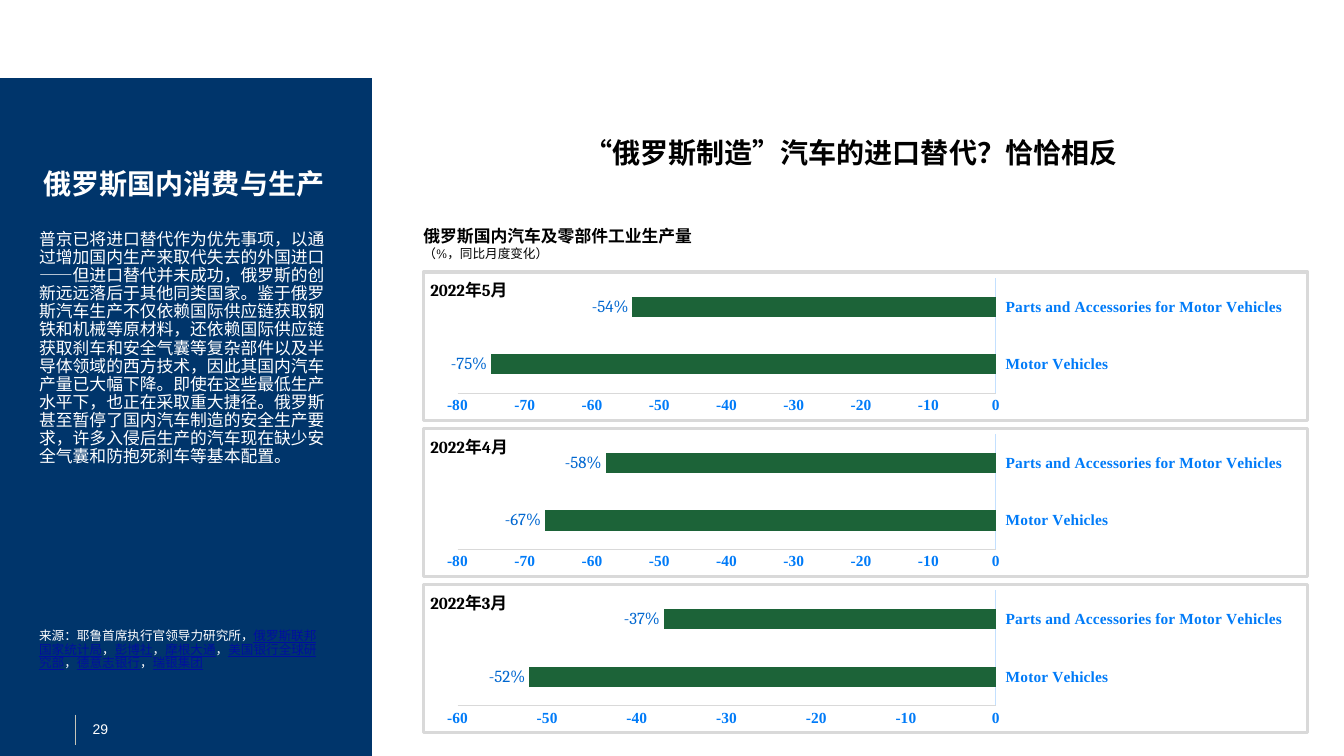
from lxml import etree
from pptx import Presentation
from pptx import util as u
from pptx.chart.data import CategoryChartData
from pptx.dml.color import RGBColor
from pptx.enum import chart as ch, shapes, text
from pptx.oxml import ns

NAVY = RGBColor(0x00, 0x35, 0x6B)
WHITE = RGBColor(0xFF, 0xFF, 0xFF)
BLACK = RGBColor(0x00, 0x00, 0x00)
STONE = RGBColor(0xC6, 0xC5, 0xB9)
GREY = RGBColor(0xD9, 0xD9, 0xD9)
LINK = RGBColor(0x00, 0x0F, 0x9F)
GREEN = RGBColor(0x1C, 0x63, 0x38)
AXIS_BLUE = RGBColor(0x00, 0x7B, 0xF8)
PALE_BLUE = RGBColor(0xC3, 0xE0, 0xFF)
LABEL_BLUE = RGBColor(0x00, 0x67, 0xD0)

SANS, SERIF, CAPTION = "Arial", "Times New Roman", "Cambria"
TOP, BOTTOM = text.MSO_ANCHOR.TOP, text.MSO_ANCHOR.BOTTOM
LEFT, CENTER = text.PP_ALIGN.LEFT, text.PP_ALIGN.CENTER

BODY = (
    "普京已将进口替代作为优先事项，以通过增加国内生产来取代失去的外国进口——但进口替代并未成功，"
    "俄罗斯的创新远远落后于其他同类国家。鉴于俄罗斯汽车生产不仅依赖国际供应链获取钢铁和机械等原材料，"
    "还依赖国际供应链获取刹车和安全气囊等复杂部件以及半导体领域的西方技术，因此其国内汽车产量已大幅下降。"
    "即使在这些最低生产水平下，也正在采取重大捷径。俄罗斯甚至暂停了国内汽车制造的安全生产要求，"
    "许多入侵后生产的汽车现在缺少安全气囊和防抱死刹车等基本配置。"
)
SOURCES = ["俄罗斯联邦国家统计局", "彭博社", "摩根大通", "美国银行全球研究部", "德意志银行", "瑞银集团"]
CATEGORIES = ["Motor Vehicles", "Parts and Accessories for Motor Vehicles"]
MONTHS = [  # caption, values, axis minimum
    ("2022年5月", (-75, -54), -80),
    ("2022年4月", (-67, -58), -80),
    ("2022年3月", (-52, -37), -60),
]
FIRST_PANEL, PANEL_STEP = 2.7, 1.55


def inches(*lengths):
    return [u.Inches(length) for length in lengths]


def style_font(font, size, name, color, bold=False):
    font.size, font.name, font.bold = u.Pt(size), name, bold
    font.color.rgb = color


class SlideBuilder:
    def __init__(self, slide):
        self.slide = slide

    def rectangle(self, area, fill=None, line=GREY, width=1):
        box = self.slide.shapes.add_shape(shapes.MSO_SHAPE.RECTANGLE, *inches(*area))
        box.shadow.inherit = False
        if fill is None:
            box.fill.background()
        else:
            box.fill.solid()
            box.fill.fore_color.rgb = fill
        box.line.color.rgb = line
        box.line.width = u.Pt(width)

    def rule(self, start, end, color, width):
        line = self.slide.shapes.add_connector(
            shapes.MSO_CONNECTOR.STRAIGHT, *inches(*start, *end))
        line.line.color.rgb = color
        line.line.width = u.Pt(width)
        etree.SubElement(line._element.spPr, ns.qn("a:effectLst"))

    def text_box(self, area, lines, align=LEFT, anchor=TOP, spacing=1.0, inset=True):
        """Add a text box; each line is a list of (text, size, font, colour, bold)."""
        box = self.slide.shapes.add_textbox(*inches(*area))
        frame = box.text_frame
        frame.word_wrap, frame.vertical_anchor = True, anchor
        if not inset:
            frame.margin_left = frame.margin_right = 0
            frame.margin_top = frame.margin_bottom = 0
        for index, spans in enumerate(lines):
            para = frame.add_paragraph() if index else frame.paragraphs[0]
            para.alignment, para.line_spacing = align, spacing
            for words, *style in spans:
                span = para.add_run()
                span.text = words
                style_font(span.font, *style)
                span.font.underline = style[2] == LINK

    def bar_chart(self, area, values, minimum):
        data = CategoryChartData()
        data.categories = CATEGORIES
        data.add_series("Series 1", values)
        chart = self.slide.shapes.add_chart(
            ch.XL_CHART_TYPE.BAR_CLUSTERED, *inches(*area), data).chart
        chart.has_legend = chart.has_title = False
        style_font(chart.font, 10, SERIF, NAVY)
        self.style_axis(chart.category_axis, PALE_BLUE)
        chart.category_axis.tick_label_position = ch.XL_TICK_LABEL_POSITION.HIGH
        scale = chart.value_axis
        self.style_axis(scale, GREY)
        scale.minimum_scale, scale.maximum_scale, scale.major_unit = minimum, 0, 10

        plot = chart.plots[0]
        plot.gap_width, plot.vary_by_categories = 182, False
        series = plot.series[0]
        series.invert_if_negative = False
        series.format.fill.solid()
        series.format.fill.fore_color.rgb = GREEN
        labels = series.data_labels
        labels.show_value = True
        labels.number_format, labels.number_format_is_linked = '0"%"', False
        labels.position = ch.XL_LABEL_POSITION.OUTSIDE_END
        style_font(labels.font, 12, CAPTION, LABEL_BLUE)
        self.place_plot(chart, x=0.03, y=0.02, w=0.62, h=0.81)

    def style_axis(self, axis, line):
        axis.has_major_gridlines = False
        axis.major_tick_mark = axis.minor_tick_mark = ch.XL_TICK_MARK.NONE
        axis.format.line.color.rgb = line
        axis.format.line.width = u.Pt(0.75)
        style_font(axis.tick_labels.font, 11, SERIF, AXIS_BLUE, True)

    def place_plot(self, chart, **fractions):
        """Fix the inner plot area as fractions of the chart."""
        area = chart._chartSpace.chart.plotArea
        for old in area.findall(ns.qn("c:layout")):
            area.remove(old)
        layout = etree.Element(ns.qn("c:layout"))
        manual = etree.SubElement(layout, ns.qn("c:manualLayout"))
        settings = {"layoutTarget": "inner", "xMode": "edge", "yMode": "edge", **fractions}
        for tag, value in settings.items():
            etree.SubElement(manual, ns.qn(f"c:{tag}")).set("val", str(value))
        area.insert(0, layout)


def main():
    deck = Presentation()
    deck.slide_width, deck.slide_height = inches(13.33, 7.5)
    page = SlideBuilder(deck.slides.add_slide(deck.slide_layouts[6]))

    page.rectangle((0, 0, 3.68, 7.5), NAVY, NAVY)
    page.rule((0.75, 7.09), (0.75, 7.39), STONE, 0.5)
    page.rectangle((0, 0, 13.33, 0.77), WHITE, WHITE)

    page.text_box((0.82, 7.1, 1.91, 0.3), [[("29", 10, SANS, WHITE)]])
    page.text_box((0.29, 1.07, 3.07, 0.97), [[("俄罗斯国内消费与生产", 20, SANS, WHITE, True)]],
                  CENTER, BOTTOM, 0.9)
    page.text_box((0.29, 2.24, 3.07, 3.1), [[(BODY, 12, SERIF, WHITE)]], spacing=0.9)
    citation = [("来源：耶鲁首席执行官领导力研究所", 9, SERIF, WHITE)]
    for source in SOURCES:
        citation += [("，", 9, SERIF, WHITE), (source, 9, SERIF, LINK)]
    page.text_box((0.29, 5.38, 3.07, 1.32), [citation], anchor=BOTTOM, spacing=0.9)

    page.text_box((3.99, 1.21, 8.9, 0.52),
                  [[("“俄罗斯制造”汽车的进口替代？恰恰相反", 20, SANS, BLACK, True)]],
                  CENTER, BOTTOM, 0.9)
    page.text_box((4.2, 2.24, 8.06, 0.46),
                  [[("俄罗斯国内汽车及零部件工业生产量", 12, CAPTION, BLACK, True)],
                   [("（%，同比月度变化）", 9, CAPTION, BLACK)]], inset=False)

    for index, (month, values, minimum) in enumerate(MONTHS):
        top = FIRST_PANEL + index * PANEL_STEP
        page.rectangle((4.2, top, 8.77, 1.47), width=2.5)
        page.bar_chart((4.28, top + 0.03, 8.61, 1.41), values, minimum)
        page.text_box((4.27, top + 0.08, 7.2, 0.46),
                      [[(month, 12, CAPTION, BLACK, True)]], inset=False)

    deck.save("out.pptx")


if __name__ == "__main__":
    main()
